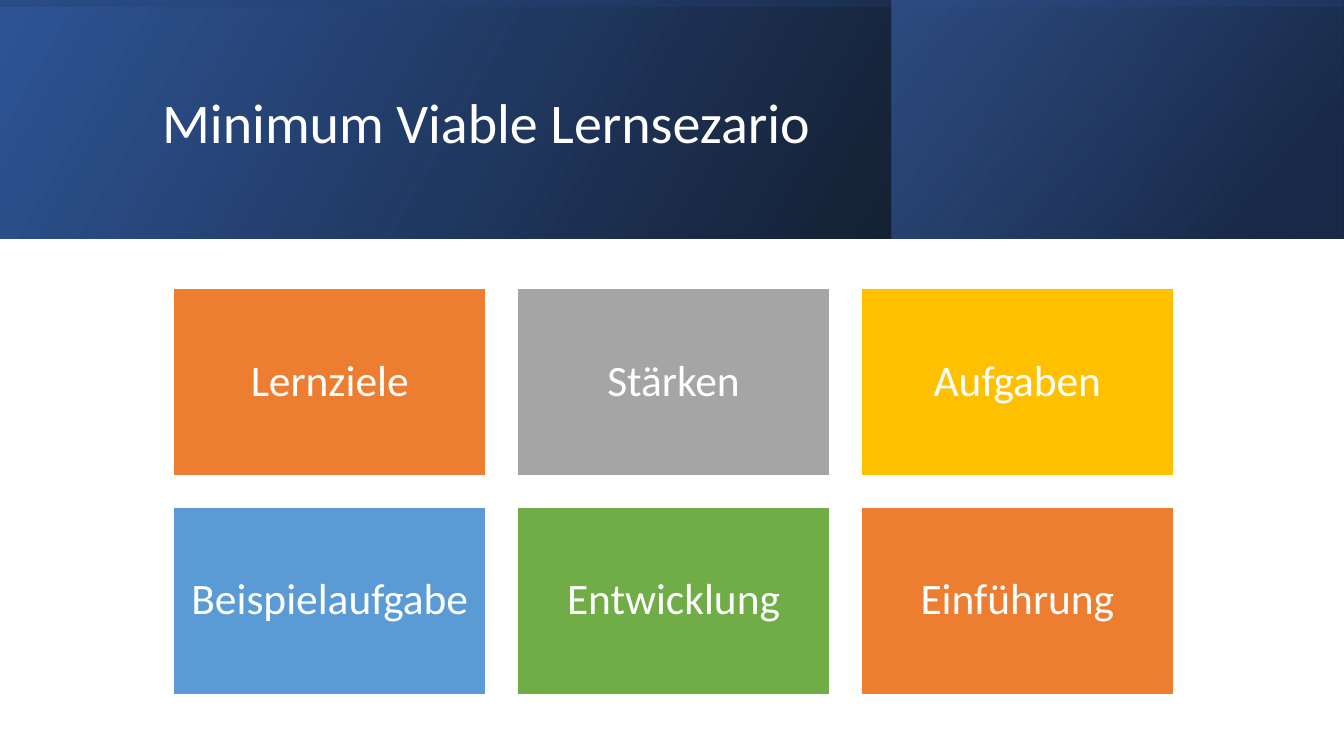
from dataclasses import dataclass

from lxml import etree
from pptx import Presentation
from pptx.dml.color import RGBColor
from pptx.enum.shapes import MSO_SHAPE
from pptx.enum.text import MSO_ANCHOR, PP_ALIGN
from pptx.oxml.ns import qn
from pptx.util import Inches, Pt

RECTANGLE = MSO_SHAPE.RECTANGLE
MIDDLE = MSO_ANCHOR.MIDDLE
LEFT = PP_ALIGN.LEFT
CENTER = PP_ALIGN.CENTER


@dataclass(frozen=True)
class Theme:
    font: str = "Calibri"
    title_size: int = 40
    card_size: int = 31
    white: str = "FFFFFF"
    black: str = "000000"
    navy: str = "203864"
    deep_blue: str = "2F5597"
    royal_blue: str = "4472C4"
    orange: str = "ED7D31"
    gray: str = "A5A5A5"
    gold: str = "FFC000"
    sky: str = "5B9BD5"
    green: str = "70AD47"


THEME = Theme()
COLUMNS = 3
CARDS = [
    ("Lernziele", THEME.orange),
    ("Stärken", THEME.gray),
    ("Aufgaben", THEME.gold),
    ("Beispielaufgabe", THEME.sky),
    ("Entwicklung", THEME.green),
    ("Einführung", THEME.orange),
]
BANDS = [
    ((0, 0, 13.33, 2.37), 0, 330, [(0, THEME.black, 96), (100, THEME.deep_blue, 100)]),
    ((8.84, 0, 4.48, 2.37), 0, 320, [(19, THEME.navy, 68), (100, THEME.royal_blue, 48)]),
    ((5.48, -5.48, 2.37, 13.33), 270, 350, [(23, THEME.deep_blue, 16), (99, THEME.black, 45)]),
]


def apply_format(target, values):
    for name, value in values.items():
        setattr(target, name, value)


def add_rectangle(page, place):
    shape = page.shapes.add_shape(RECTANGLE, *map(Inches, place))
    shape.shadow.inherit = False
    return shape


def gradient_fill(stops, angle):
    fill = etree.Element(qn("a:gradFill"), rotWithShape="1")
    stop_list = etree.SubElement(fill, qn("a:gsLst"))
    for position, color, opacity in stops:
        stop = etree.SubElement(stop_list, qn("a:gs"), pos=str(position * 1000))
        tint = etree.SubElement(stop, qn("a:srgbClr"), val=color)
        etree.SubElement(tint, qn("a:alpha"), val=str(opacity * 1000))
    etree.SubElement(fill, qn("a:lin"), ang=str(angle * 60000), scaled="0")
    return fill


def add_band(page, place, rotation, angle, stops):
    band = add_rectangle(page, place)
    band.rotation = rotation
    band.line.fill.background()
    band.fill.background()
    properties = band.element.spPr
    properties.find(qn("a:xfrm")).set("flipH", "1")
    properties.replace(properties.find(qn("a:noFill")), gradient_fill(stops, angle))


def write_text(box, text, size, alignment, inset):
    frame = box.text_frame
    margins = dict.fromkeys(
        ("margin_left", "margin_top", "margin_right", "margin_bottom"), Inches(inset)
    )
    apply_format(frame, {"word_wrap": True, "vertical_anchor": MIDDLE, **margins})
    para = frame.paragraphs[0]
    apply_format(para, {"alignment": alignment, "line_spacing": 0.9})
    span = para.add_run()
    span.text = text
    apply_format(span.font, {"name": THEME.font, "size": Pt(size)})
    span.font.color.rgb = RGBColor.from_string(THEME.white)


def add_title(page, text):
    box = page.shapes.add_textbox(*map(Inches, (1.51, 0.38, 10.63, 1.72)))
    write_text(box, text, THEME.title_size, LEFT, 0.1)


def add_card(page, index, text, color):
    row, column = divmod(index, COLUMNS)
    card = add_rectangle(page, (1.72 + 3.41 * column, 2.86 + 2.17 * row, 3.1, 1.86))
    card.fill.solid()
    card.fill.fore_color.rgb = RGBColor.from_string(color)
    card.line.color.rgb = RGBColor.from_string(THEME.white)
    card.line.width = Pt(1)
    write_text(card, text, THEME.card_size, CENTER, 0.13)


def main():
    deck = Presentation()
    apply_format(deck, {"slide_width": Inches(13.33), "slide_height": Inches(7.5)})
    page = deck.slides.add_slide(deck.slide_layouts[6])
    for band in BANDS:
        add_band(page, *band)
    add_title(page, "Minimum Viable Lernsezario")
    for index, (text, color) in enumerate(CARDS):
        add_card(page, index, text, color)
    deck.save("out.pptx")


if __name__ == "__main__":
    main()
